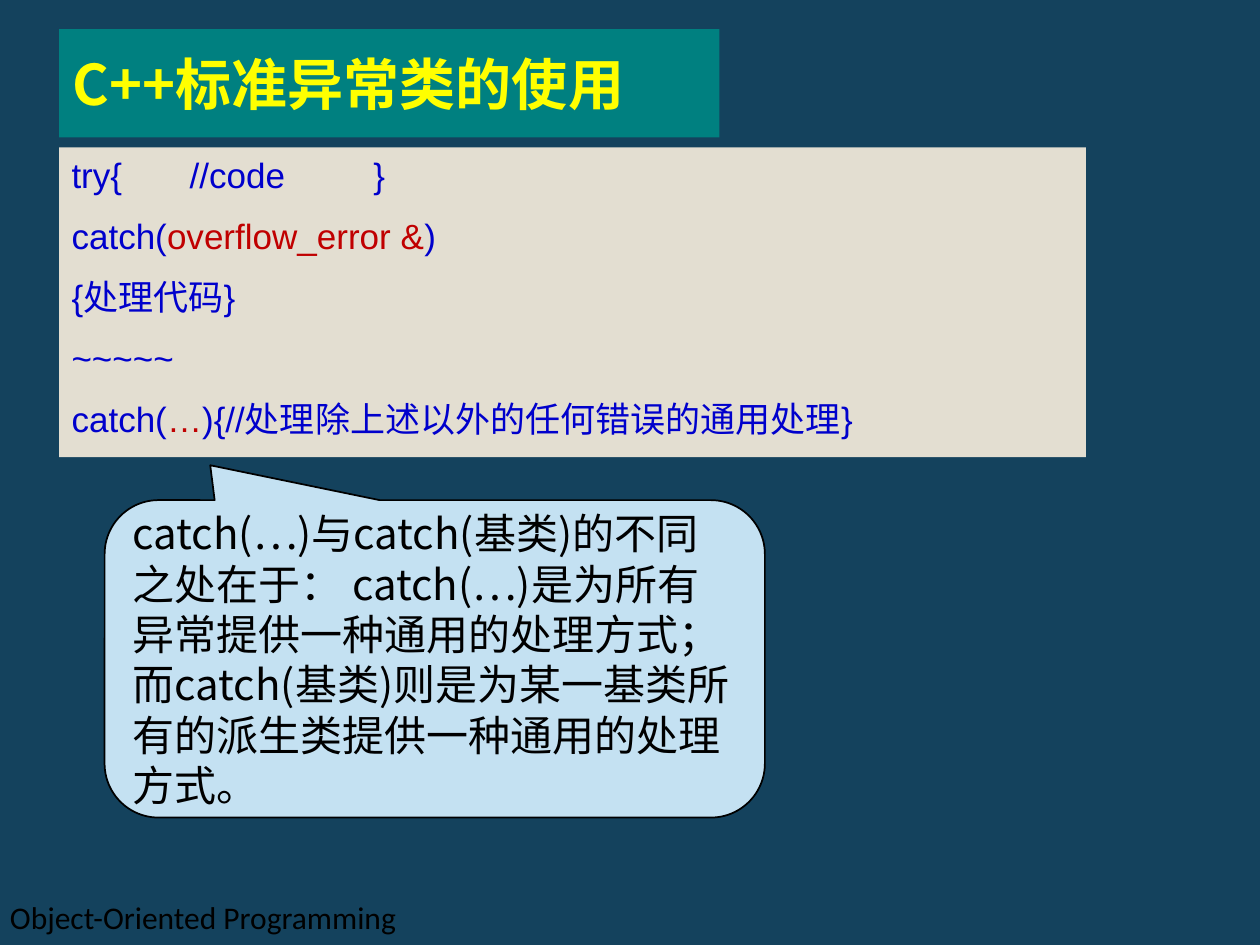
"""Build the slide on using the C++ standard exception classes."""
from typing import NamedTuple, Optional

from lxml.etree import SubElement
from pptx import Presentation
from pptx.dml.color import RGBColor
from pptx.enum.shapes import MSO_SHAPE
from pptx.enum.text import MSO_ANCHOR, MSO_AUTO_SIZE, PP_ALIGN
from pptx.oxml.ns import qn
from pptx.util import Pt

NAVY = RGBColor(0x14, 0x42, 0x5D)
TEAL = RGBColor(0x00, 0x80, 0x80)
YELLOW = RGBColor(0xFF, 0xFF, 0x00)
SAND = RGBColor(0xE3, 0xDE, 0xD1)
BLUE = RGBColor(0x00, 0x00, 0xCC)
RED = RGBColor(0xC0, 0x00, 0x00)
PALE_BLUE = RGBColor(0xC4, 0xE1, 0xF2)
BLACK = RGBColor(0x00, 0x00, 0x00)
CHINESE_FONT = "Noto Sans CJK SC"


class Area(NamedTuple):
    left: float
    top: float
    width: float
    height: float


class Span(NamedTuple):
    text: str
    color: Optional[RGBColor] = None


TITLE_AREA = Area(33.8, 16.6, 377.3, 61.9)
CODE_AREA = Area(33.8, 84.2, 586.8, 177.1)
CALLOUT_AREA = Area(59.8, 285.8, 377.3, 181.4)
FOOTER_AREA = Area(-1.4, 509.8, 288.7, 28.8)
CODE_TABS = (67.5, 172.5)
CODE_LINES = [
    [Span("try{\t//code\t}")],
    [Span("catch("), Span("overflow_error &", RED), Span(")")],
    [Span("{处理代码}")],
    [Span("~~~~~")],
    [Span("catch("), Span("…", RED), Span("){//处理除上述以外的任何错误的通用处理}")],
]
CALLOUT_TEXT = (
    "catch(…)与catch(基类)的不同之处在于： catch(…)是为所有异常提供一种通用的处理方式；"
    "而catch(基类)则是为某一基类所有的派生类提供一种通用的处理方式。"
)


def write_text(box, lines: list, *, font: str, size: float, color: RGBColor,
               bold: bool = False, anchor=MSO_ANCHOR.TOP, wrap: bool = True,
               side_inset: float = 7.2, space_before: float = 0,
               line_spacing=None) -> None:
    """Fill a box with paragraphs made of spans."""
    frame = box.text_frame
    frame.word_wrap = wrap
    frame.auto_size = MSO_AUTO_SIZE.NONE
    frame.vertical_anchor = anchor
    frame.margin_left = frame.margin_right = Pt(side_inset)
    frame.margin_top = frame.margin_bottom = Pt(3.6)
    for index, spans in enumerate(lines):
        para = frame.add_paragraph() if index else frame.paragraphs[0]
        para.alignment = PP_ALIGN.LEFT
        para.space_before = Pt(space_before if index else 0)
        if line_spacing:
            para.line_spacing = line_spacing
        for span in spans:
            run = para.add_run()
            run.text = span.text
            run.font.name = font
            run.font.size = Pt(size)
            run.font.bold = bold
            run.font.color.rgb = span.color or color
            if font == CHINESE_FONT:
                SubElement(run.font._element, qn("a:ea"), typeface=font)


def place(box, area: Area) -> None:
    """Move and size a box."""
    box.left, box.top, box.width, box.height = (Pt(length) for length in area)


def paint(box, fill: RGBColor, line: Optional[RGBColor] = None) -> None:
    """Give a box a solid fill and an optional outline."""
    box.fill.solid()
    box.fill.fore_color.rgb = fill
    if line is None:
        box.line.fill.background()
    else:
        box.line.color.rgb = line
        box.line.width = Pt(1)


def add_box(page, kind, area: Area, fill: RGBColor, line: Optional[RGBColor] = None):
    """Add a painted preset shape without a shadow."""
    box = page.shapes.add_shape(kind, *(Pt(length) for length in area))
    box.shadow.inherit = False
    paint(box, fill, line)
    return box


def set_tabs(para, positions: tuple) -> None:
    """Give a paragraph left tab stops."""
    tabs = SubElement(para._p.get_or_add_pPr(), qn("a:tabLst"))
    for position in positions:
        SubElement(tabs, qn("a:tab"), pos=str(Pt(position)), algn="l")


def main() -> None:
    """Build and save the deck."""
    deck = Presentation()
    deck.slide_width, deck.slide_height = Pt(720), Pt(540)
    page = deck.slides.add_slide(deck.slide_layouts[5])
    page.background.fill.solid()
    page.background.fill.fore_color.rgb = NAVY

    footer = page.shapes.add_textbox(*(Pt(length) for length in FOOTER_AREA))
    write_text(footer, [[Span("Object-Oriented Programming")]],
               font="Calibri", size=18, color=BLACK, wrap=False)

    title = page.shapes.title
    place(title, TITLE_AREA)
    paint(title, TEAL)
    write_text(title, [[Span("C++标准异常类的使用")]], font=CHINESE_FONT, size=32,
               color=YELLOW, bold=True, anchor=MSO_ANCHOR.MIDDLE, side_inset=7.9)

    code = add_box(page, MSO_SHAPE.RECTANGLE, CODE_AREA, SAND)
    write_text(code, CODE_LINES, font="Arial", size=20, color=BLUE, space_before=10.9)
    set_tabs(code.text_frame.paragraphs[0], CODE_TABS)

    callout = add_box(page, MSO_SHAPE.ROUNDED_RECTANGULAR_CALLOUT, CALLOUT_AREA,
                      PALE_BLUE, BLACK)
    for index, value in enumerate((-0.34, -0.61, 0.17)):
        callout.adjustments[index] = value
    write_text(callout, [[Span(CALLOUT_TEXT)]], font=CHINESE_FONT, size=24, color=BLACK,
               anchor=MSO_ANCHOR.MIDDLE, line_spacing=Pt(28.8))

    deck.save("out.pptx")


if __name__ == "__main__":
    main()
